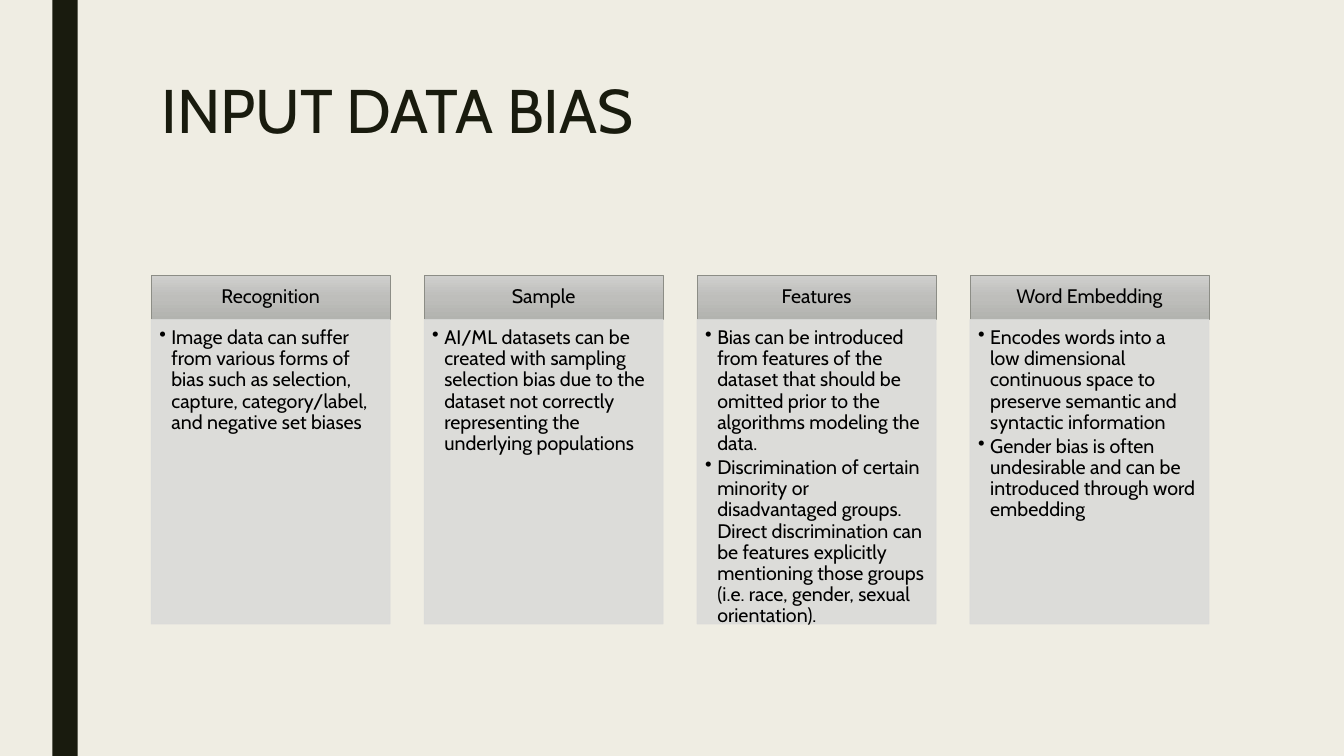
from copy import deepcopy

from lxml import etree
from pptx import Presentation
from pptx.dml.color import RGBColor
from pptx.enum.shapes import MSO_SHAPE
from pptx.enum.text import MSO_ANCHOR, PP_ALIGN
from pptx.oxml.ns import qn
from pptx.util import Inches, Pt

TITLE = "INPUT DATA BIAS"
COLUMNS = [
    ("Recognition", [
        "Image data can suffer from various forms of bias such as selection, "
        "capture, category/label, and negative set biases",
    ]),
    ("Sample", [
        "AI/ML datasets can be created with sampling selection bias due to the "
        "dataset not correctly representing the underlying populations",
    ]),
    ("Features", [
        "Bias can be introduced from features of the dataset that should be "
        "omitted prior to the algorithms modeling the data.",
        "Discrimination of certain minority or disadvantaged groups. Direct "
        "discrimination can be features explicitly mentioning those groups "
        "(i.e. race, gender, sexual orientation).",
    ]),
    ("Word Embedding", [
        "Encodes words into a low dimensional continuous space to preserve "
        "semantic and syntactic information",
        "Gender bias is often undesirable and can be introduced through word "
        "embedding",
    ]),
]

FONT = "Cabin"
CREAM = RGBColor(0xEF, 0xED, 0xE3)
DARK = RGBColor(0x19, 0x1B, 0x0E)
BLACK = RGBColor(0, 0, 0)
PANEL = RGBColor(0xDA, 0xDB, 0xD9)
HEADER_LINE = RGBColor(0x8C, 0x8D, 0x86)
HEADER_STOPS = [RGBColor(0xCF, 0xCF, 0xCD), RGBColor(0xBE, 0xBE, 0xBB),
                RGBColor(0xB2, 0xB3, 0xAF)]
RECT = MSO_SHAPE.RECTANGLE
TOP, MIDDLE = MSO_ANCHOR.TOP, MSO_ANCHOR.MIDDLE
LEFT, CENTER = PP_ALIGN.LEFT, PP_ALIGN.CENTER

COL_X, COL_W, PITCH = 1.5, 2.37, 2.707
HEADER_Y, HEADER_H, BODY_H = 2.73, 0.44, 3.02


def add_rect(slide, x, y, w, h):
    """Add a rectangle without a shadow."""
    sp = slide.shapes.add_shape(RECT, Inches(x), Inches(y), Inches(w), Inches(h))
    sp.shadow.inherit = False
    return sp


def fill_header(sp):
    """Give a header its three-stop vertical gradient and thin outline."""
    sp.fill.gradient()
    sp.fill.gradient_angle = 270
    stops = sp._element.spPr.find(".//" + qn("a:gsLst"))
    middle = deepcopy(stops[0])
    middle.set("pos", "50000")
    stops.insert(1, middle)
    for stop, color in zip(sp.fill.gradient_stops, HEADER_STOPS):
        stop.color.rgb = color
    sp.line.color.rgb = HEADER_LINE
    sp.line.width = Pt(0.5)


def fill_panel(sp):
    """Give a panel its slightly transparent fill and outline."""
    sp.fill.solid()
    sp.fill.fore_color.rgb = PANEL
    sp.line.color.rgb = PANEL
    sp.line.width = Pt(0.5)
    for color in sp._element.spPr.iter(qn("a:srgbClr")):
        etree.SubElement(color, qn("a:alpha"), val="90000")


def add_bullet(p):
    """Add a round bullet with a hanging indent."""
    pPr = p._p.get_or_add_pPr()
    pPr.set("marL", str(Inches(0.12)))
    pPr.set("indent", str(-Inches(0.12)))
    etree.SubElement(pPr, qn("a:buChar"), char="•")


def write(sp, lines, insets, anchor, align, size, color, spacing, after=0, bullets=False):
    """Write paragraphs into a shape and format them."""
    tf = sp.text_frame
    tf.word_wrap = True
    tf.vertical_anchor = anchor
    tf.margin_left, tf.margin_top, tf.margin_right, tf.margin_bottom = map(Inches, insets)
    tf.text = "\n".join(lines)
    for p in tf.paragraphs:
        p.alignment = align
        p.line_spacing = spacing
        p.space_after = Pt(after)
        if bullets:
            add_bullet(p)
        for r in p.runs:
            r.font.name = FONT
            r.font.size = Pt(size)
            r.font.color.rgb = color


def main():
    """Build the slide and save it."""
    prs = Presentation()
    prs.slide_width, prs.slide_height = Inches(13.33), Inches(7.5)
    slide = prs.slides.add_slide(prs.slide_layouts[5])
    slide.background.fill.solid()
    slide.background.fill.fore_color.rgb = CREAM

    bar = add_rect(slide, 0.52, 0, 0.25, 7.5)
    bar.fill.solid()
    bar.fill.fore_color.rgb = DARK
    bar.line.fill.background()

    title = slide.shapes.title
    title.left, title.top = Inches(1.5), Inches(0.75)
    title.width, title.height = Inches(10.5), Inches(1.62)
    write(title, [TITLE], (0.1, 0.05, 0.1, 0.05), TOP, LEFT, 44, DARK, 0.89)

    for i, (heading, points) in enumerate(COLUMNS):
        x = COL_X + i * PITCH
        header = add_rect(slide, x, HEADER_Y, COL_W, HEADER_H)
        fill_header(header)
        write(header, [heading], (0.11, 0.06, 0.11, 0.06), MIDDLE, CENTER, 14, BLACK, 0.9)
        panel = add_rect(slide, x, HEADER_Y + HEADER_H, COL_W, BODY_H)
        fill_panel(panel)
        write(panel, points, (0.08, 0.08, 0.11, 0.12), TOP, LEFT, 14, BLACK, 0.9,
              after=2, bullets=True)

    prs.save("out.pptx")


if __name__ == "__main__":
    main()
